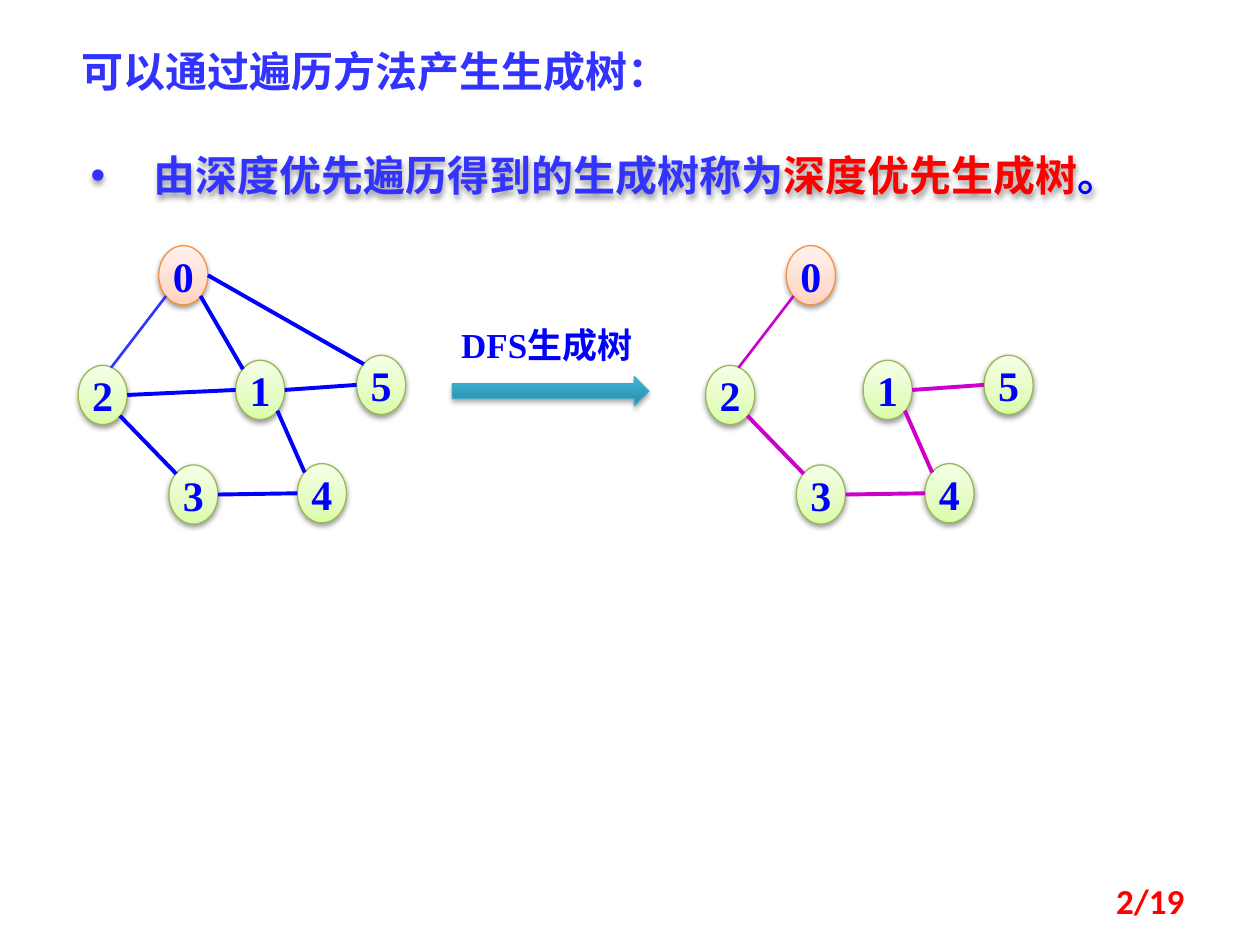
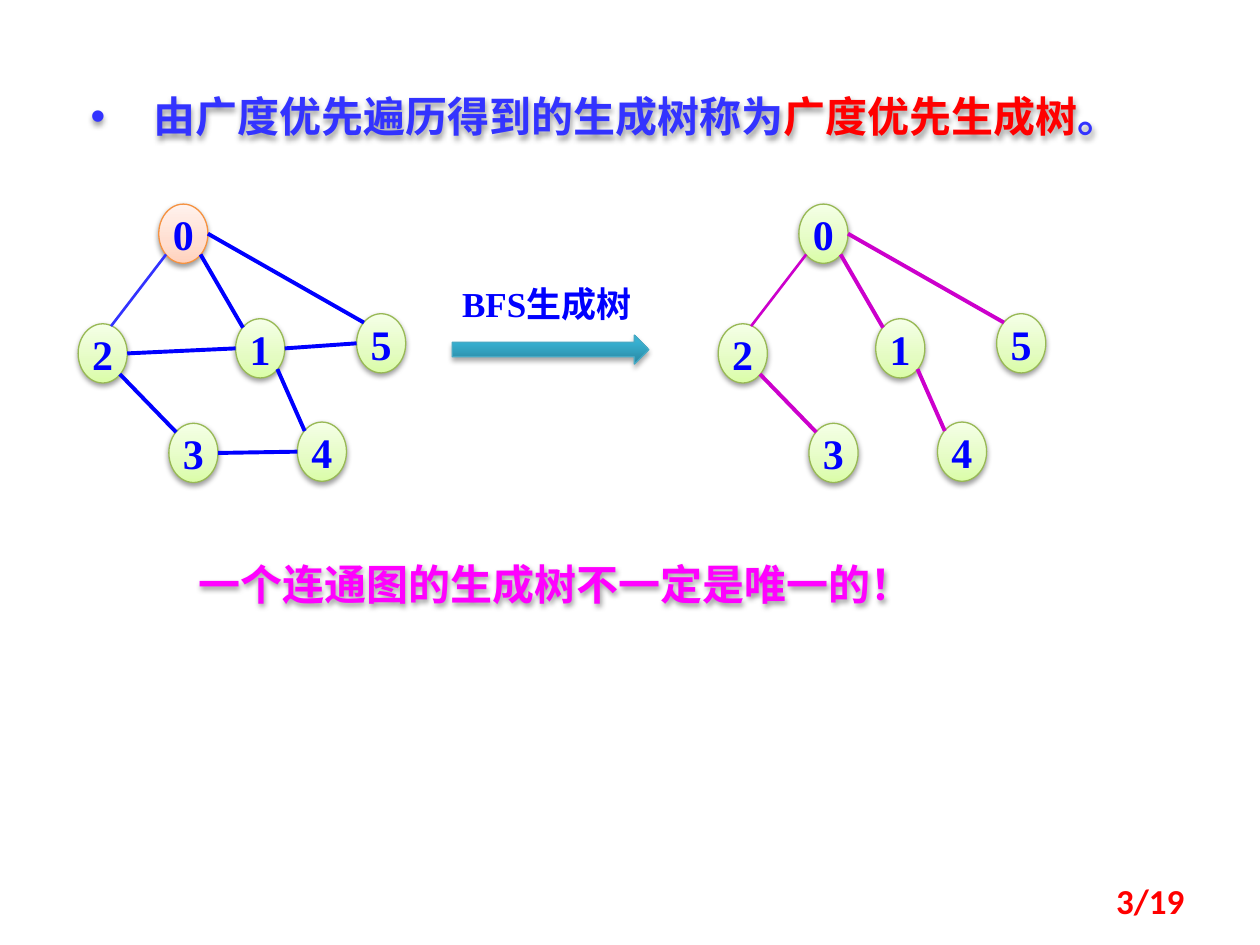
from lxml import etree
from pptx import Presentation
from pptx.dml.color import RGBColor
from pptx.enum.shapes import MSO_CONNECTOR, MSO_SHAPE
from pptx.enum.text import MSO_ANCHOR, MSO_AUTO_SIZE, PP_ALIGN
from pptx.oxml.ns import qn
from pptx.util import Inches, Pt

STRAIGHT = MSO_CONNECTOR.STRAIGHT
OVAL, RIGHT_ARROW = MSO_SHAPE.OVAL, MSO_SHAPE.RIGHT_ARROW
MIDDLE, TOP = MSO_ANCHOR.MIDDLE, MSO_ANCHOR.TOP
LEFT, CENTER, RIGHT, JUSTIFY = PP_ALIGN.LEFT, PP_ALIGN.CENTER, PP_ALIGN.RIGHT, PP_ALIGN.JUSTIFY

BLUE, VIOLET_BLUE, RED, PINK, PURPLE = "0000FF", "3333FF", "FF0000", "FF00FF", "CC00CC"
SERIF, SANS = "Times New Roman", "Calibri"

ORANGE_STYLE = {"line": "F69240", "stops": [(0, "FFD2BD"), (35, "FFDED0"), (100, "FFF2ED")]}
GREEN_STYLE = {"line": "98B955", "stops": [(0, "DAFDA7"), (35, "E4FCC2"), (100, "F5FFE7")]}
TEAL_STYLE = {"line": "46AAC5", "stops": [(0, "2A88A2"), (80, "37B1D2"), (100, "34B4D6")]}

NODE_SIZE = (0.39, 0.47)
NODES = [(0.64, 0), (1.25, 0.91), (0, 0.95), (0.72, 1.74), (1.74, 1.73), (2.21, 0.87)]
ANCHORS = {"e": (1, 0.5), "w": (0, 0.5), "nw": (0.15, 0.15), "sw": (0.15, 0.85),
           "se": (0.85, 0.85), "ne": (0.67, 0.04)}
EDGES = {(0, 2): ("sw", "ne"), (2, 3): ("se", "nw"), (0, 1): ("se", "nw"), (2, 1): ("e", "w"),
         (1, 5): ("e", "w"), (1, 4): ("se", "nw"), (3, 4): ("e", "w"), (0, 5): ("e", "nw")}
THIN_EDGE = (0, 2)
GRAPH_LEFT = 0.62

SLIDES = [
    {
        "texts": [("可以通过遍历方法产生生成树：", (0.55, 0.31, 7.58, 0.5), VIOLET_BLUE, False)],
        "bullet_top": 0.94,
        "bullet": [("由深度优先遍历得到的生成树称为", VIOLET_BLUE), ("深度优先生成树", RED), ("。", BLUE)],
        "graph_top": 1.95,
        "label": "DFS生成树",
        "tree_left": 5.6,
        "tree_edges": [(0, 2), (2, 3), (1, 5), (1, 4), (3, 4)],
        "tree_root": ORANGE_STYLE,
        "page": "2/19",
    },
    {
        "texts": [("一个连通图的生成树不一定是唯一的！", (1.48, 4.38, 6.33, 0.5), PINK, True)],
        "bullet_top": 0.47,
        "bullet": [("由广度优先遍历得到的生成树称为", VIOLET_BLUE), ("广度优先生成树", RED), ("。", VIOLET_BLUE)],
        "graph_top": 1.62,
        "label": "BFS生成树",
        "tree_left": 5.7,
        "tree_edges": [(0, 2), (2, 3), (0, 1), (1, 4), (0, 5)],
        "tree_root": GREEN_STYLE,
        "page": "3/19",
    },
]


def rgb(value):
    return RGBColor.from_string(value)


def add_child(parent, tag, **attributes):
    return etree.SubElement(parent, qn(tag), {key: str(value) for key, value in attributes.items()})


def add_shadow(shape, alpha=38, distance=1.6):
    shape.shadow.inherit = False
    effects = shape._element.spPr.find(qn("a:effectLst"))
    shadow = add_child(effects, "a:outerShdw", blurRad=Pt(3.1), dist=Pt(distance),
                       dir=5400000, rotWithShape=0)
    color = add_child(shadow, "a:srgbClr", val="000000")
    add_child(color, "a:alpha", val=alpha * 1000)


def apply_style(shape, style):
    shape.fill.gradient()
    shape.fill.gradient_angle = 90
    stop_list = shape._element.spPr.find(".//" + qn("a:gsLst"))
    stop_list.clear()
    for position, color in style["stops"]:
        stop = add_child(stop_list, "a:gs", pos=position * 1000)
        add_child(stop, "a:srgbClr", val=color)
    shape.line.color.rgb = rgb(style["line"])
    shape.line.width = Pt(0.75)


def write(paragraph, runs, size=24, name=SERIF, alignment=LEFT):
    paragraph.alignment = alignment
    for text, color in runs:
        run = paragraph.add_run()
        run.text = text
        for key, value in {"size": Pt(size), "name": name, "bold": True}.items():
            setattr(run.font, key, value)
        run.font.color.rgb = rgb(color)


def add_text(slide, box, runs, anchor=TOP, **text_format):
    shape = slide.shapes.add_textbox(*map(Inches, box))
    frame = shape.text_frame
    for key, value in {"word_wrap": True, "vertical_anchor": anchor,
                       "auto_size": MSO_AUTO_SIZE.NONE}.items():
        setattr(frame, key, value)
    write(frame.paragraphs[0], runs, **text_format)
    return shape


def add_bullet(slide, top, runs):
    shape = add_text(slide, (0.62, top, 8.52, 0.63), runs, alignment=JUSTIFY)
    paragraph = shape.text_frame.paragraphs[0]
    paragraph.line_spacing = 1.5
    properties = paragraph._p.get_or_add_pPr()
    properties.set("marL", str(Inches(0.5)))
    properties.set("indent", str(Inches(-0.5)))
    add_child(properties, "a:buFont", typeface="Arial")
    add_child(properties, "a:buChar", char="•")
    add_shadow(shape)


def add_node(slide, left, top, label, style):
    node = slide.shapes.add_shape(OVAL, *map(Inches, (left, top, *NODE_SIZE)))
    apply_style(node, style)
    add_shadow(node)
    node.text_frame.word_wrap = False
    node.text_frame.vertical_anchor = MIDDLE
    write(node.text_frame.paragraphs[0], [(label, BLUE)], alignment=CENTER)


def add_edge(slide, start, end, color, width):
    edge = slide.shapes.add_connector(STRAIGHT, *map(Inches, (*start, *end)))
    edge.line.color.rgb = rgb(color)
    edge.line.width = Pt(width)
    add_child(edge._element.spPr, "a:effectLst")


def add_graph(slide, left, top, edges, root_style, color, thin_color):
    for number, (x, y) in enumerate(NODES):
        add_node(slide, left + x, top + y, str(number), GREEN_STYLE if number else root_style)
    for edge in edges:
        ends = []
        for number, anchor in zip(edge, EDGES[edge]):
            x, y = NODES[number]
            across, down = ANCHORS[anchor]
            ends.append((left + x + across * NODE_SIZE[0], top + y + down * NODE_SIZE[1]))
        thin = edge == THIN_EDGE
        add_edge(slide, *ends, thin_color if thin else color, 1.5 if thin else 2.25)


def add_step(slide, top, label):
    arrow = slide.shapes.add_shape(RIGHT_ARROW, *map(Inches, (3.59, top + 1.04, 1.56, 0.23)))
    apply_style(arrow, TEAL_STYLE)
    add_shadow(arrow, 35, 1.8)
    add_text(slide, (3.44, top + 0.57, 1.8, 0.44), [(label, BLUE)], size=20, alignment=CENTER)


def build_slide(presentation, content):
    slide = presentation.slides.add_slide(presentation.slide_layouts[6])
    top = content["graph_top"]
    add_bullet(slide, content["bullet_top"], content["bullet"])
    add_graph(slide, GRAPH_LEFT, top, EDGES, ORANGE_STYLE, BLUE, VIOLET_BLUE)
    add_graph(slide, content["tree_left"], top, content["tree_edges"],
              content["tree_root"], PURPLE, PURPLE)
    add_step(slide, top, content["label"])
    for text, box, color, shadowed in content["texts"]:
        shape = add_text(slide, box, [(text, color)])
        if shadowed:
            add_shadow(shape)
    add_text(slide, (7.17, 6.95, 2.33, 0.4), [(content["page"], RED)], anchor=MIDDLE,
             size=20, name=SANS, alignment=RIGHT)


def main():
    presentation = Presentation()
    presentation.slide_width, presentation.slide_height = Inches(10), Inches(7.5)
    for content in SLIDES:
        build_slide(presentation, content)
    presentation.save("out.pptx")


if __name__ == "__main__":
    main()
